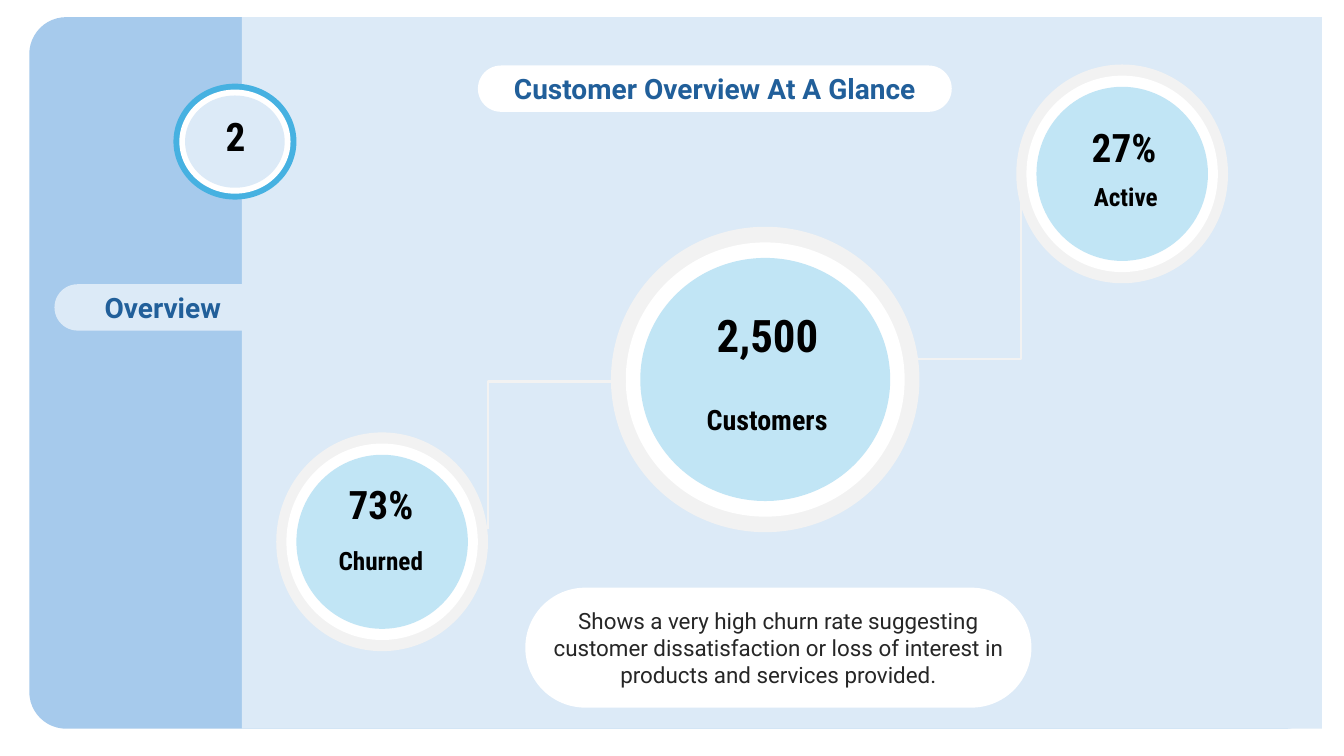
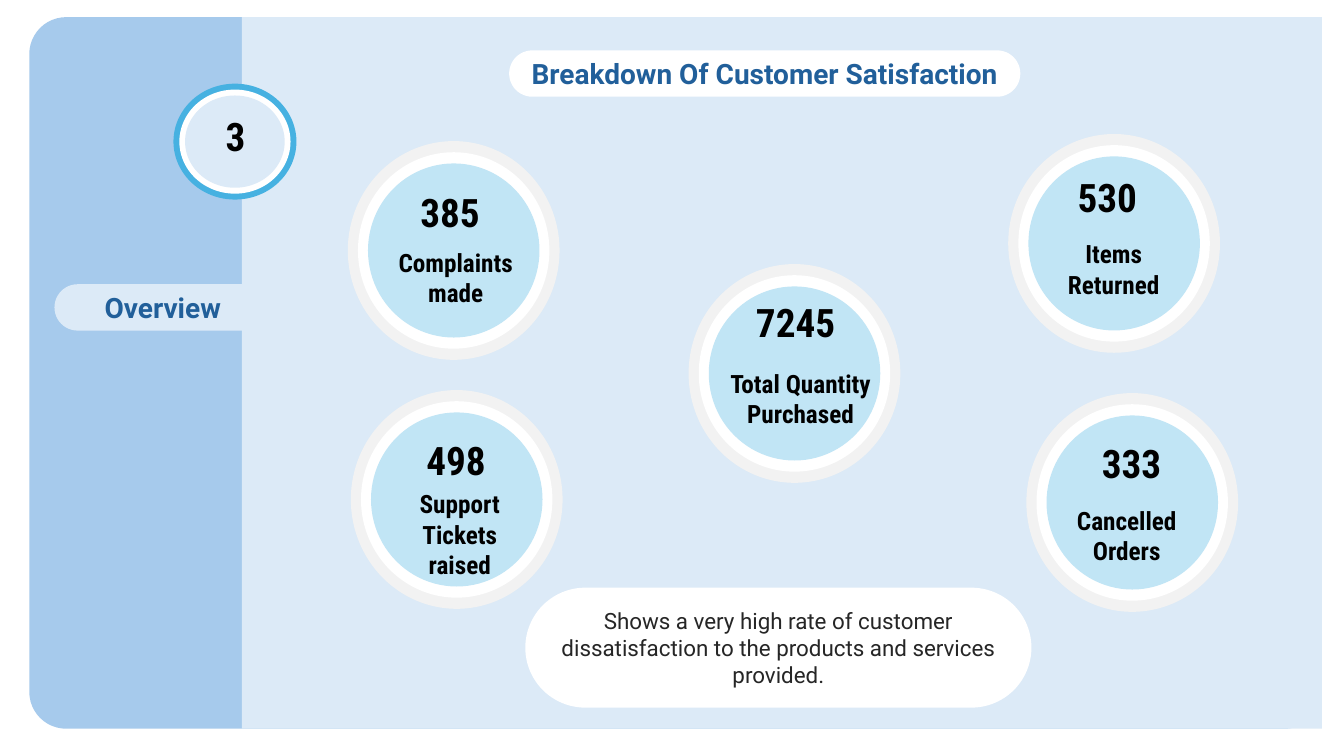
import pptx
import pptx.dml.color
import pptx.enum.shapes
import pptx.enum.text
import pptx.oxml
import pptx.oxml.ns
import pptx.util
import lxml.etree

EMU_PER_PX = 9144
COLOURS = {
    "sidebar": "A6CAEC",
    "panel": "DCEAF7",
    "rim": "F2F2F2",
    "white": "FFFFFF",
    "disc": "C1E5F5",
    "accent": "46B1E1",
    "heading": "215F9A",
    "body": "262626",
    "black": "000000",
}
HEADING = dict(size=20, colour="heading", bold=True)
FIGURE = dict(font="Roboto Condensed", colour="black", bold=True)
PRESET = pptx.enum.shapes.MSO_SHAPE
ALIGN = pptx.enum.text.PP_ALIGN
ANCHOR = pptx.enum.text.MSO_ANCHOR
RING_INSETS = ((0, 0), (0.048, 0.051), (0.095, 0.102))


def px(length):
    return pptx.util.Emu(round(length * EMU_PER_PX))


def rgb(name):
    return pptx.dml.color.RGBColor.from_string(COLOURS[name])


def write(frame, text, size=16, font="Roboto", colour="body", bold=False,
          align=ALIGN.CENTER, anchor=ANCHOR.MIDDLE):
    frame.word_wrap = True
    frame.vertical_anchor = anchor
    paragraph = frame.paragraphs[0]
    paragraph.alignment = align
    run = paragraph.add_run()
    run.text = text
    run.font.size = pptx.util.Pt(size)
    run.font.name = font
    run.font.bold = bold
    run.font.color.rgb = rgb(colour)


def add_shape(shapes, preset, box, colour, rounding=None):
    shape = shapes.add_shape(preset, *map(px, box))
    shape.shadow.inherit = False
    shape.fill.solid()
    shape.fill.fore_color.rgb = rgb(colour)
    shape.line.fill.background()
    if rounding is not None:
        shape.adjustments[0] = rounding
    return shape


def add_label(shapes, text, box, **style):
    label = shapes.add_textbox(*map(px, box))
    write(label.text_frame, text, anchor=ANCHOR.TOP, **style)


def add_pill(slide, text, box, fill="white", **style):
    pill = add_shape(slide.shapes, PRESET.ROUNDED_RECTANGLE, box, fill, 0.5)
    write(pill.text_frame, text, **style)


def add_rings(slide, box, colours):
    left, top, width, height = box
    rings = slide.shapes.add_group_shape().shapes
    for (across, down), colour in zip(RING_INSETS, colours):
        inset_x, inset_y = across * width, down * height
        ring = (left + inset_x, top + inset_y, width - 2 * inset_x, height - 2 * inset_y)
        add_shape(rings, PRESET.OVAL, ring, colour)
    return rings


def add_badge(slide, corner, value, value_spot, caption, caption_spot,
              size=(210, 217), value_size=28, caption_size=18, caption_align=ALIGN.CENTER):
    left, top = corner
    badge = add_rings(slide, (*corner, *size), ("rim", "white", "disc"))
    for text, (dx, dy, width), points, align in (
        (value, value_spot, value_size, ALIGN.LEFT),
        (caption, caption_spot, caption_size, caption_align),
    ):
        add_label(badge, text, (left + dx, top + dy, width, 2 * points),
                  size=points, align=align, **FIGURE)


def add_elbow(slide, start, end, bend):
    run, rise = end[0] - start[0], start[1] - end[1]
    middle_x, middle_y = (start[0] + end[0]) / 2, (start[1] + end[1]) / 2
    elbow = slide.shapes.add_connector(
        pptx.enum.shapes.MSO_CONNECTOR.ELBOW,
        px(middle_x + rise / 2), px(middle_y + run / 2),
        px(middle_x - rise / 2), px(middle_y - run / 2))
    elbow.line.color.rgb = rgb("rim")
    elbow.line.width = pptx.util.Pt(1.5)
    properties = elbow._element.spPr
    qn = pptx.oxml.ns.qn
    properties.find(qn("a:xfrm")).set("rot", "5400000")
    geometry = properties.find(qn("a:prstGeom"))
    guides = geometry.find(qn("a:avLst"))
    if guides is None:
        guides = lxml.etree.SubElement(geometry, qn("a:avLst"))
    guide = lxml.etree.SubElement(guides, qn("a:gd"))
    guide.set("name", "adj1")
    guide.set("fmla", f"val {round(bend * 100000)}")
    lxml.etree.SubElement(properties, qn("a:effectLst"))


def add_frame(deck, number, title, title_box, finding):
    slide = deck.slides.add_slide(deck.slide_layouts[6])
    add_shape(slide.shapes, PRESET.ROUNDED_RECTANGLE, (29, 17, 1282, 706), "sidebar", 0.052)
    add_shape(slide.shapes, PRESET.ROUNDED_RECTANGLE, (240, 17, 1071, 706), "panel", 0)
    add_rings(slide, (172, 83, 122, 115), ("accent", "white", "panel"))
    add_label(slide.shapes, number, (214, 106, 53, 55), size=28, align=ALIGN.LEFT, **FIGURE)
    add_pill(slide, "Overview", (54, 282, 215, 46), fill="panel", **HEADING)
    add_pill(slide, title, title_box, **HEADING)
    add_pill(slide, finding, (521, 583, 502, 119))
    return slide


def build_glance(deck):
    slide = add_frame(
        deck, "2", "Customer Overview At A Glance", (474, 65, 470, 46),
        "Shows a very high churn rate suggesting customer dissatisfaction or loss of "
        "interest in products and services provided.")
    add_badge(slide, (606, 225), "2,500", (95, 75, 141), "Customers", (85, 169, 151),
              size=(306, 303), value_size=32, caption_size=20, caption_align=ALIGN.LEFT)
    add_badge(slide, (274, 429), "73%", (62, 43, 95), "Churned", (52, 107, 132),
              caption_align=ALIGN.LEFT)
    add_badge(slide, (1008, 64), "27%", (65, 53, 93), "Active", (67, 111, 89),
              caption_align=ALIGN.LEFT)
    add_elbow(slide, (484, 525), (620, 377), 0.99)
    add_elbow(slide, (908, 359), (1013, 201), 0.02)


def build_breakdown(deck):
    slide = add_frame(
        deck, "3", "Breakdown Of Customer Satisfaction", (505, 50, 507, 46),
        "Shows a very high rate of customer dissatisfaction to the products and "
        "services provided.")
    for badge in (
        ((345, 140), "385", (62, 42, 95), "Complaints made", (14, 100, 186)),
        ((1000, 133), "530", (59, 34, 93), "Items Returned", (32, 99, 145)),
        ((683, 262), "7245", (57, 29, 107), "Total Quantity Purchased", (-5, 98, 232)),
        ((1018, 390), "333", (65, 41, 93), "Cancelled Orders", (27, 106, 145)),
        ((348, 387), "498", (65, 41, 93), "Support Tickets raised", (36, 93, 144)),
    ):
        add_badge(slide, *badge)


def main():
    deck = pptx.Presentation()
    deck.slide_width, deck.slide_height = px(1333), px(750)
    build_glance(deck)
    build_breakdown(deck)
    deck.save("out.pptx")


if __name__ == "__main__":
    main()
